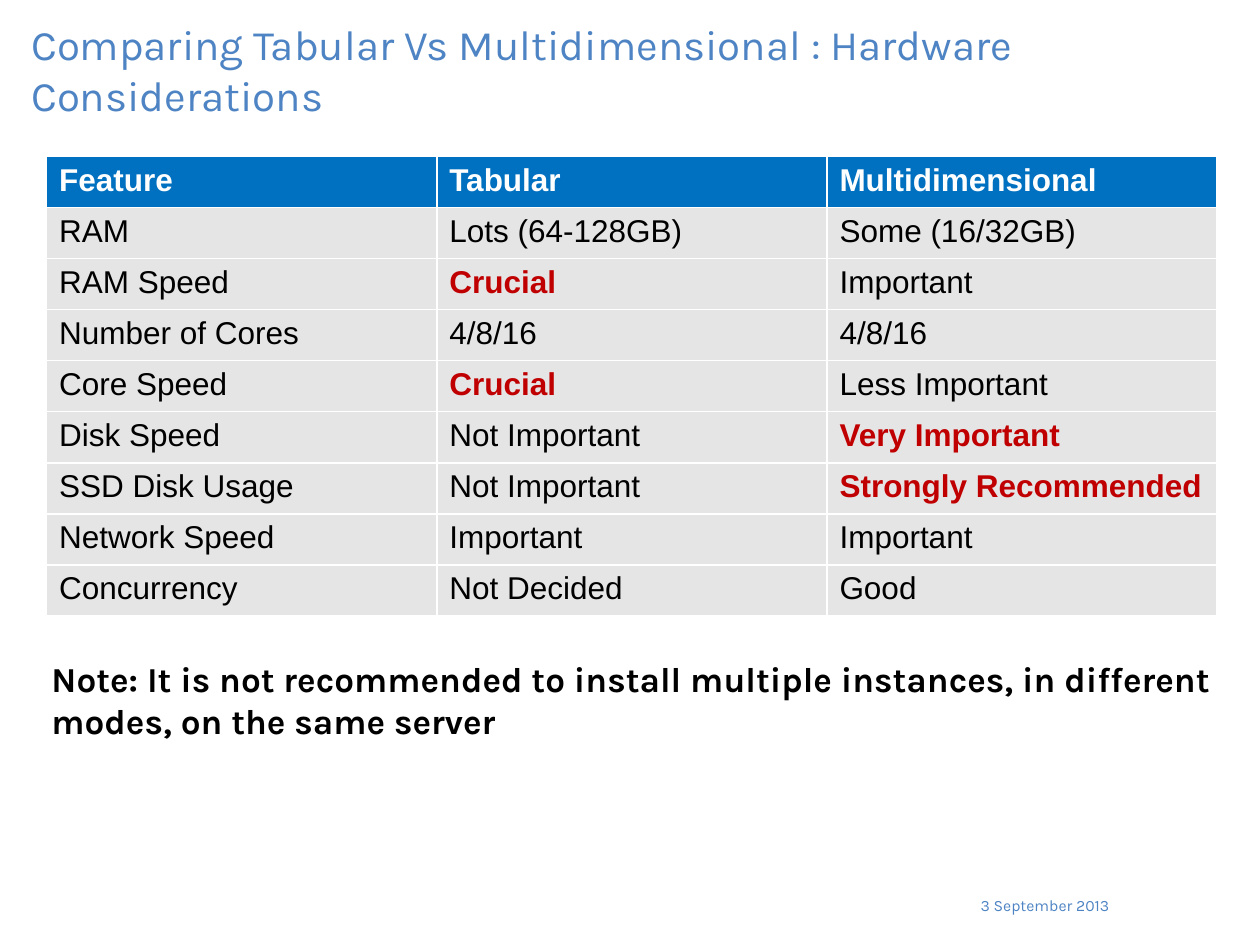
from pptx import Presentation
from pptx.dml.color import RGBColor
from pptx.enum.text import PP_ALIGN
from pptx.util import Inches, Pt

ACCENT = RGBColor(0x4E, 0x84, 0xC4)
HEADER = RGBColor(0x00, 0x70, 0xC0)
BODY = RGBColor(0xE5, 0xE5, 0xE5)
RED = RGBColor(0xC0, 0x00, 0x00)
BLACK = RGBColor(0x00, 0x00, 0x00)
WHITE = RGBColor(0xFF, 0xFF, 0xFF)

ROWS = [
    ("Feature", "Tabular", "Multidimensional"),
    ("RAM", "Lots (64-128GB)", "Some (16/32GB)"),
    ("RAM Speed", "Crucial", "Important"),
    ("Number of Cores", "4/8/16", "4/8/16"),
    ("Core Speed", "Crucial", "Less Important"),
    ("Disk Speed", "Not Important", "Very Important"),
    ("SSD Disk Usage", "Not Important", "Strongly Recommended"),
    ("Network Speed", "Important", "Important"),
    ("Concurrency", "Not Decided", "Good"),
]
EMPHASIS = {"Crucial", "Very Important", "Strongly Recommended"}


def style_text(p, font, size, color, bold=False):
    """Format every run of a paragraph."""
    for r in p.runs:
        r.font.name = font
        r.font.size = Pt(size)
        r.font.color.rgb = color
        r.font.bold = bold


def add_text(s, box, text, size, color, bold=False, align=PP_ALIGN.LEFT):
    """Place a wrapped Karla text box."""
    tf = s.shapes.add_textbox(*map(Inches, box)).text_frame
    tf.word_wrap = True
    tf.text = text
    p = tf.paragraphs[0]
    p.alignment = align
    style_text(p, "Karla", size, color, bold)


def add_comparison(s, box):
    """Place the feature table, whose default style draws the white rules."""
    table = s.shapes.add_table(len(ROWS), len(ROWS[0]), *map(Inches, box)).table
    for i, row in enumerate(ROWS):
        for j, text in enumerate(row):
            cell = table.cell(i, j)
            cell.fill.solid()
            cell.fill.fore_color.rgb = BODY if i else HEADER
            cell.text = text
            strong = text in EMPHASIS
            color = WHITE if i == 0 else RED if strong else BLACK
            style_text(cell.text_frame.paragraphs[0], "Arial", 18, color, i == 0 or strong)


def main():
    """Build and save the slide."""
    prs = Presentation()
    prs.slide_width, prs.slide_height = Inches(10), Inches(7.5)
    s = prs.slides.add_slide(prs.slide_layouts[6])
    add_text(s, (7.35, 7.06, 1.55, 0.35), "3 September 2013", 9, ACCENT,
             align=PP_ALIGN.RIGHT)
    add_text(s, (0.15, 0.1, 9.85, 0.67),
             "Comparing Tabular Vs Multidimensional : Hardware Considerations", 24, ACCENT)
    add_comparison(s, (0.37, 1.24, 9.29, 3.65))
    add_text(s, (0.31, 5.17, 9.47, 0.77),
             "Note: It is not recommended to install multiple instances, "
             "in different modes, on the same server", 20, BLACK, bold=True)
    prs.save("out.pptx")


if __name__ == "__main__":
    main()
